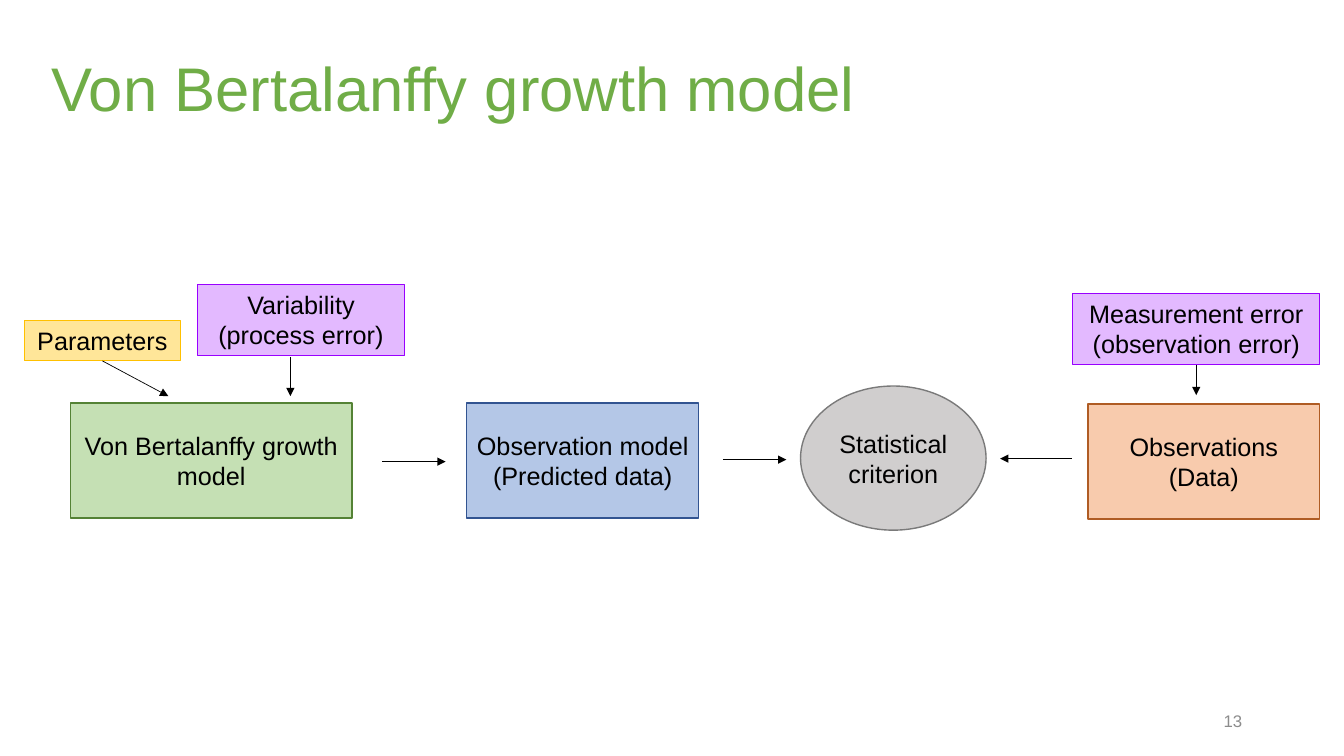
from dataclasses import dataclass

from lxml.etree import SubElement
from pptx import Presentation
from pptx.dml.color import RGBColor
from pptx.enum.shapes import MSO_CONNECTOR, MSO_SHAPE
from pptx.enum.text import MSO_ANCHOR as Anchor, PP_ALIGN as Align
from pptx.oxml.ns import qn
from pptx.util import Inches, Pt


@dataclass(frozen=True)
class Theme:
    font: str = "Arial"
    title_size: int = 44
    label_size: int = 18
    number_size: int = 12
    title: str = "70AD47"
    text: str = "000000"
    number: str = "8C8C8C"
    arrow_width: float = 0.5
    # Box styles: fill, line, line width
    process: tuple = ("C5E0B4", "548235", 1)
    parameter: tuple = ("FFE699", "FFC000", 0.75)
    error: tuple = ("E3B9FF", "9900FF", 0.75)
    prediction: tuple = ("B4C7E7", "325491", 1)
    criterion: tuple = ("D0CECE", "7A7A7A", 1)
    data: tuple = ("F8CBAD", "AF5C24", 1)


THEME = Theme()
BOTTOM = 2


def rgb(value):
    return RGBColor.from_string(value)


def write(shape, text, size, color, align, anchor=Anchor.MIDDLE, line_spacing=None):
    """Fill a shape with one paragraph per line of text."""
    frame = shape.text_frame
    frame.word_wrap = True
    frame.vertical_anchor = anchor
    frame.text = text
    for paragraph in frame.paragraphs:
        paragraph.alignment = align
        paragraph.line_spacing = line_spacing
        formats = {"name": THEME.font, "size": Pt(size)}
        for name, value in formats.items():
            setattr(paragraph.font, name, value)
        paragraph.font.color.rgb = rgb(color)


def add_text(slide, box, *args, **kwargs):
    shape = slide.shapes.add_textbox(*map(Inches, box))
    write(shape, *args, **kwargs)


def add_node(slide, box, text, style, kind=MSO_SHAPE.RECTANGLE, anchor=Anchor.MIDDLE):
    fill, line, width = style
    shape = slide.shapes.add_shape(kind, *map(Inches, box))
    shape.shadow.inherit = False
    shape.fill.solid()
    shape.fill.fore_color.rgb = rgb(fill)
    shape.line.color.rgb = rgb(line)
    shape.line.width = Pt(width)
    write(shape, text, THEME.label_size, THEME.text, Align.CENTER, anchor)
    return shape


def add_arrow(slide, start, end, source=None):
    """Draw an arrow; a source shape is joined at its bottom side."""
    arrow = slide.shapes.add_connector(
        MSO_CONNECTOR.STRAIGHT, *map(Inches, (*start, *end)))
    if source is not None:
        arrow.begin_connect(source, BOTTOM)
    arrow.line.color.rgb = rgb(THEME.text)
    arrow.line.width = Pt(THEME.arrow_width)
    SubElement(arrow.line._get_or_add_ln(), qn("a:tailEnd"), type="triangle")
    SubElement(arrow._element.spPr, qn("a:effectLst"))


def add_heading(slide, box):
    add_text(slide, box, "Von Bertalanffy growth model", THEME.title_size,
             THEME.title, Align.LEFT, line_spacing=0.9)


def add_slide_number(slide, box):
    add_text(slide, box, "13", THEME.number_size, THEME.number, Align.RIGHT)


def add_process(slide, box):
    """Growth model with its parameters and process error."""
    left, top, width, height = box
    add_node(slide, (left + 0.46, top + 1.18, 2.79, 1.14),
             "Von Bertalanffy growth model", THEME.process)
    parameters = add_node(slide, (left, top + 0.36, 1.55, 0.4), "Parameters",
                          THEME.parameter, anchor=Anchor.TOP)
    add_node(slide, (left + 1.72, top, 2.05, 0.71),
             "Variability (process error)", THEME.error, anchor=Anchor.TOP)
    tip = top + 1.11
    add_arrow(slide, (left + 0.77, top + 0.76), (left + 1.43, tip), parameters)
    add_arrow(slide, (left + 2.64, top + 0.72), (left + 2.64, tip))


def add_comparison(slide, box):
    """Predicted data and the statistical criterion, with the arrows between."""
    left, top, width, height = box
    add_node(slide, (left + 0.84, top + 0.17, 2.3, 1.14),
             "Observation model\n(Predicted data)", THEME.prediction)
    add_node(slide, (left + 4.15, top, 1.84, height),
             "Statistical criterion", THEME.criterion, MSO_SHAPE.OVAL)
    for start, end, drop in ((0, 0.63, 0.75), (3.38, 4.01, 0.73), (6.84, 6.13, 0.72)):
        add_arrow(slide, (left + start, top + drop), (left + end, top + drop))


def add_observations(slide, box):
    """Observed data with its measurement error."""
    left, top, width, height = box
    add_node(slide, (left + 0.15, top + 1.1, width - 0.15, 1.14),
             "Observations (Data)", THEME.data)
    error = add_node(slide, (left, top, width, 0.71),
                     "Measurement error (observation error)", THEME.error,
                     anchor=Anchor.TOP)
    middle = left + width / 2
    add_arrow(slide, (middle, top + 0.71), (middle, top + 1.01), error)


def main():
    presentation = Presentation()
    presentation.slide_width = Inches(13.33)
    presentation.slide_height = Inches(7.5)
    slide = presentation.slides.add_slide(presentation.slide_layouts[6])

    add_slide_number(slide, (9.42, 6.95, 3, 0.4))
    add_heading(slide, (0.41, 0.18, 11.69, 1.45))
    add_process(slide, (0.24, 2.82, 3.77, 2.32))
    add_comparison(slide, (3.79, 3.83, 6.84, 1.43))
    add_observations(slide, (10.64, 2.91, 2.45, 2.24))

    presentation.save("out.pptx")


if __name__ == "__main__":
    main()
